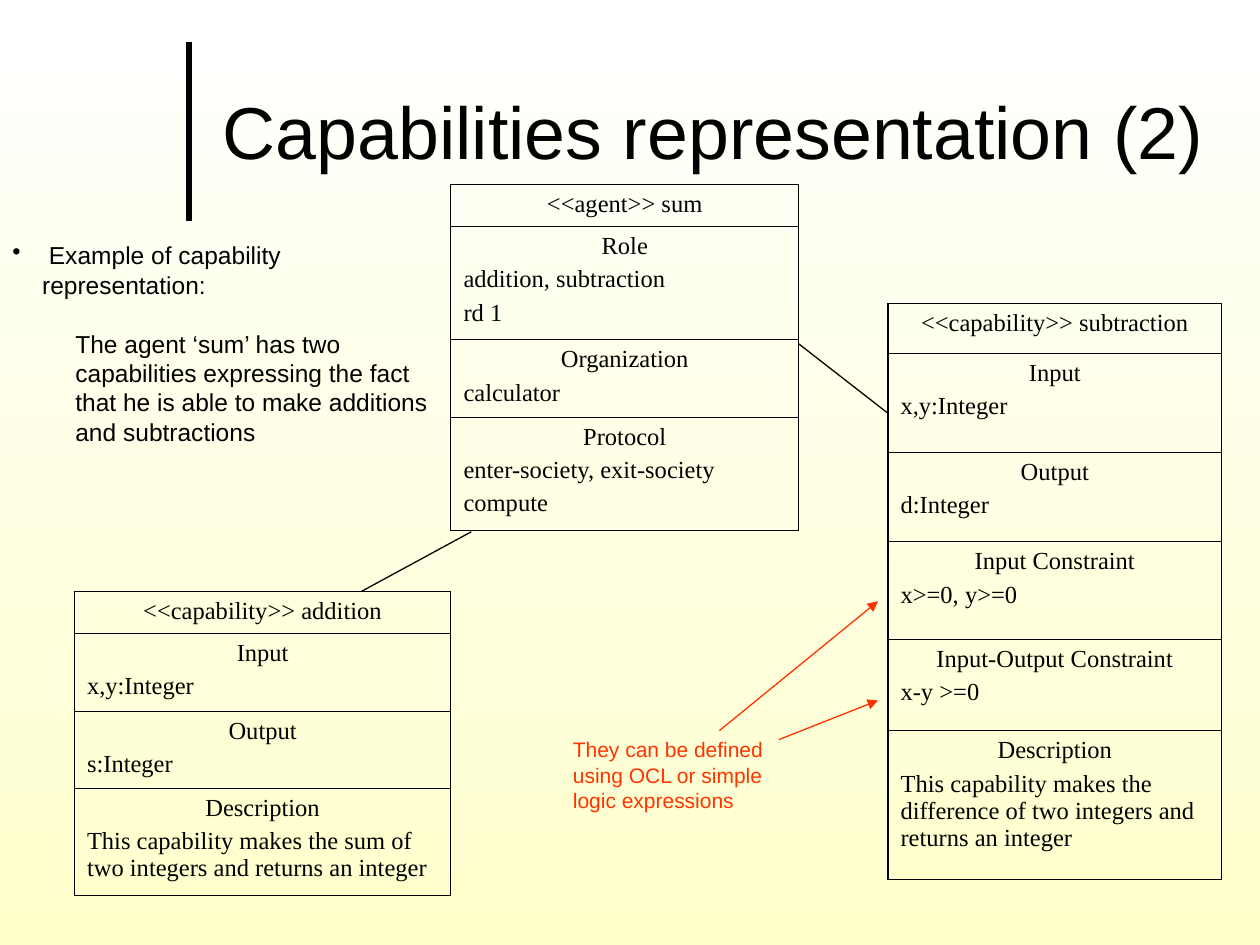
"""Build the slide on capabilities representation with its agent and capability tables."""
from lxml import etree
from pptx import Presentation
from pptx.dml.color import RGBColor
from pptx.enum.shapes import MSO_CONNECTOR
from pptx.enum.text import MSO_ANCHOR, PP_ALIGN
from pptx.oxml.ns import qn
from pptx.util import Cm, Pt

STRAIGHT = MSO_CONNECTOR.STRAIGHT
MIDDLE = MSO_ANCHOR.MIDDLE
CENTER, LEFT = PP_ALIGN.CENTER, PP_ALIGN.LEFT
COLORS = {"ink": "000000", "note": "FF3300", "top": "FFFFFF", "bottom": "FFFFCC"}


def write(frame, lines, size, font="Arial", color="ink"):
    for index, line in enumerate(lines):
        paragraph = frame.add_paragraph() if index else frame.paragraphs[0]
        paragraph.text = line
        paragraph.font.size = Pt(size)
        paragraph.font.name = font
        paragraph.font.color.rgb = RGBColor.from_string(COLORS[color])


def connect(start_x, start_y, end_x, end_y, color="ink", width=0.75, arrow=False):
    connector = slide.shapes.add_connector(
        STRAIGHT, Cm(start_x), Cm(start_y), Cm(end_x), Cm(end_y))
    connector.line.color.rgb = RGBColor.from_string(COLORS[color])
    connector.line.width = Pt(width)
    if arrow:
        etree.SubElement(connector.line._get_or_add_ln(), qn("a:tailEnd"), type="triangle")
    etree.SubElement(connector._element.spPr, qn("a:effectLst"))


prs = Presentation()
prs.slide_width, prs.slide_height = Cm(25.4), Cm(19.05)
slide = prs.slides.add_slide(prs.slide_layouts[6])

backdrop = slide.background.fill
backdrop.gradient()
backdrop.gradient_angle = 270
for stop, position, name in zip(backdrop.gradient_stops, (0, 1), ("top", "bottom")):
    stop.position = position
    stop.color.rgb = RGBColor.from_string(COLORS[name])

connect(3.81, 4.45, 3.81, 0.84, width=3)

title = slide.shapes.add_textbox(Cm(4.24), Cm(1.12), Cm(20.68), Cm(3)).text_frame
title.word_wrap = True
title.vertical_anchor = MIDDLE
write(title, ["Capabilities representation (2)"], 42)

diagrams = [
    (1.5, 11.92, 7.59, [
        (0.84, ["<<capability>> addition"]),
        (1.55, ["Input", "x,y:Integer"]),
        (1.55, ["Output", "s:Integer"]),
        (2.13, ["Description",
                "This capability makes the sum of two integers and returns an integer"]),
    ]),
    (9.09, 3.72, 7.01, [
        (0.84, ["<<agent>> sum"]),
        (2.26, ["Role", "addition, subtraction", "rd 1"]),
        (1.55, ["Organization", "calculator"]),
        (2.26, ["Protocol", "enter-society, exit-society", "compute"]),
    ]),
    (17.9, 6.12, 6.73, [
        (1, ["<<capability>> subtraction"]),
        (2, ["Input", "x,y:Integer"]),
        (1.8, ["Output", "d:Integer"]),
        (1.96, ["Input Constraint", "x>=0, y>=0"]),
        (1.85, ["Input-Output Constraint", "x-y >=0"]),
        (3, ["Description",
             "This capability makes the difference of two integers and returns an integer"]),
    ]),
]
for left, top, width, sections in diagrams:
    height = sum(section[0] for section in sections)
    diagram = slide.shapes.add_table(
        len(sections), 1, Cm(left), Cm(top), Cm(width), Cm(height)).table
    diagram.first_row = diagram.horz_banding = False
    last = len(sections) - 1
    for index, (row_height, lines) in enumerate(sections):
        diagram.rows[index].height = Cm(row_height)
        cell = diagram.cell(index, 0)
        write(cell.text_frame, lines, 14, "Times New Roman")
        heading, *details = cell.text_frame.paragraphs
        heading.alignment = CENTER
        for detail in details:
            detail.alignment = LEFT
            detail.space_before = Pt(3.5)
        borders = {"lnL": 0.75, "lnR": 0.75,
                   "lnT": 0.45 if index else 0.75, "lnB": 0.75 if index == last else 0.45}
        properties = cell._tc.get_or_add_tcPr()
        for side, weight in borders.items():
            border = etree.SubElement(properties, qn(f"a:{side}"), w=str(Pt(weight)))
            paint = etree.SubElement(border, qn("a:solidFill"))
            etree.SubElement(paint, qn("a:srgbClr"), val=COLORS["ink"])
        cell.fill.background()

connect(16.1, 6.93, 17.9, 8.33)
connect(7.29, 11.92, 9.5, 10.72)

example = slide.shapes.add_textbox(Cm(0), Cm(4.72), Cm(9), Cm(3.81)).text_frame
example.word_wrap = True
intro, explanation = example.paragraphs[0], example.add_paragraph()
intro_properties = intro._p.get_or_add_pPr()
intro_properties.set("marL", str(Cm(0.6)))
intro_properties.set("indent", str(Cm(-0.6)))
etree.SubElement(intro_properties, qn("a:buChar"), char="•")
explanation._p.get_or_add_pPr().set("marL", str(Cm(1.27)))
explanation.space_before = Pt(16.8)
for paragraph, words in (
    (intro, " Example of capability representation:"),
    (explanation, "The agent ‘sum’ has two capabilities expressing the fact "
                  "that he is able to make additions and subtractions"),
):
    paragraph.text = words
    paragraph.font.size = Pt(14)
    paragraph.font.name = "Arial"
    paragraph.font.color.rgb = RGBColor.from_string(COLORS["ink"])

remark = slide.shapes.add_textbox(Cm(11.3), Cm(14.73), Cm(4.34), Cm(1.78)).text_frame
remark.word_wrap = False
write(remark, ["They can be defined", "using OCL or simple", "logic expressions"],
      12, color="note")
connect(14.5, 14.73, 17.7, 12.12, "note", arrow=True)
connect(15.7, 14.91, 17.7, 14.12, "note", arrow=True)

prs.save("out.pptx")
